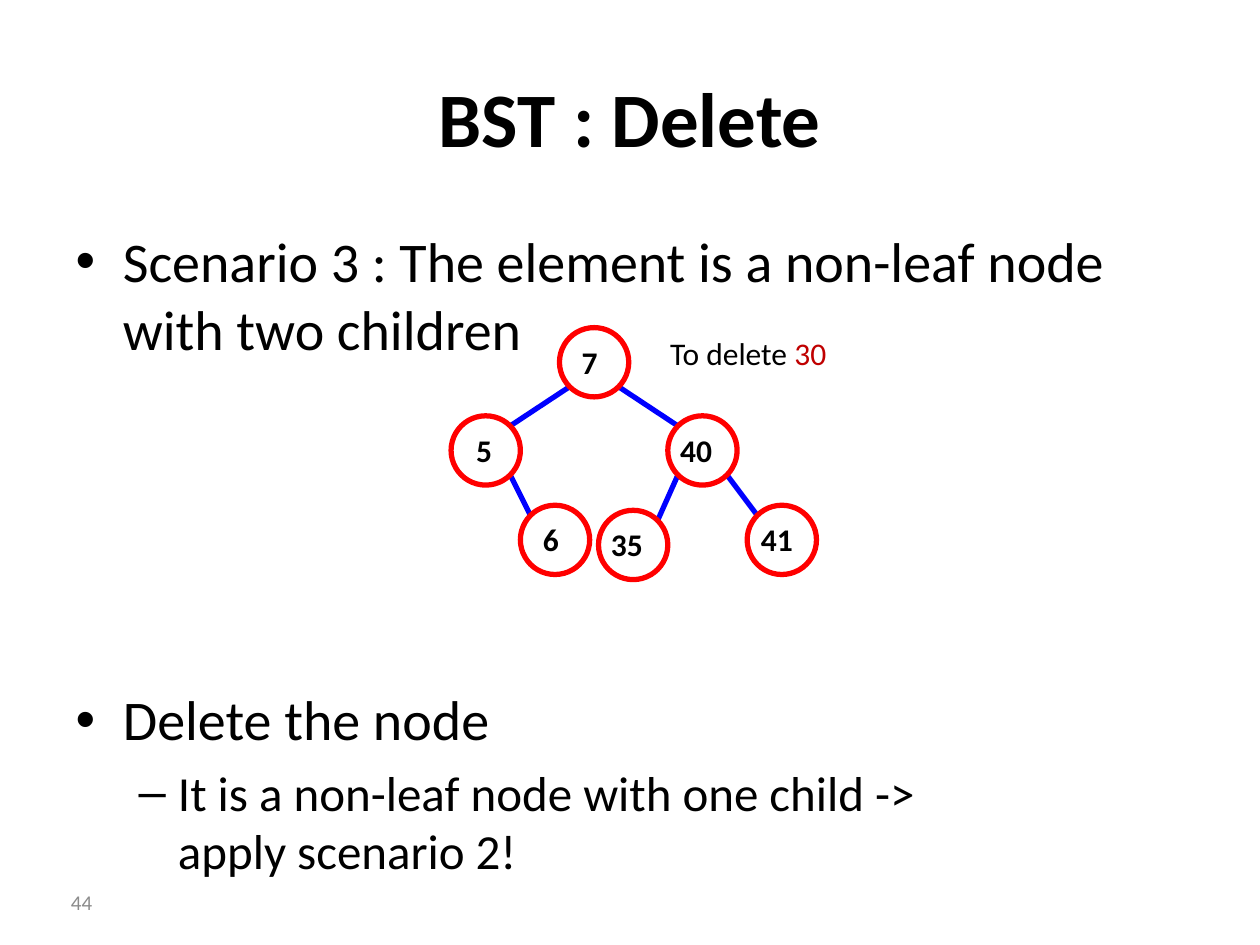
"""Build the slide on deleting a binary search tree node with two children."""
from dataclasses import dataclass

from lxml import etree
from pptx import Presentation
from pptx.dml.color import RGBColor
from pptx.enum.shapes import MSO_CONNECTOR, MSO_SHAPE
from pptx.enum.text import MSO_ANCHOR, PP_ALIGN
from pptx.oxml.ns import qn
from pptx.util import Inches, Pt

ELLIPSE = MSO_SHAPE.OVAL
STRAIGHT = MSO_CONNECTOR.STRAIGHT
LEFT, CENTER, RIGHT = PP_ALIGN.LEFT, PP_ALIGN.CENTER, PP_ALIGN.RIGHT
TOP, MIDDLE = MSO_ANCHOR.TOP, MSO_ANCHOR.MIDDLE


@dataclass(frozen=True)
class Theme:
    """Colours, type sizes and line weight of the slide."""
    font: str = "Calibri"
    ink: str = "000000"
    ring: str = "FF0000"
    edge: str = "0000FF"
    accent: str = "C00000"
    muted: str = "8C8C8C"
    title: int = 44
    body: int = 32
    detail: int = 28
    label: int = 18
    footer: int = 12
    stroke: int = 3


THEME = Theme()
COLUMNS, ROWS = 100, 75
CELL = Inches(0.1)
DIAMETER = 5.5
DIAGONAL = DIAMETER / 2 * 0.5 ** 0.5
TREE_GAP = 185

# key: (column, row, label shift, label width, label alignment)
NODES = {
    "7": (44.4, 26, -0.7, 6.2, CENTER),
    "5": (35.8, 33, 1, 5.5, LEFT),
    "40": (53, 33, 0, 6.2, LEFT),
    "6": (41.3, 40.1, 0.8, 5.5, LEFT),
    "35": (47.5, 40.5, 0, 6.2, LEFT),
    "41": (59.3, 40.1, 0.1, 6.3, LEFT),
}
# parent, child, side on which the edge leaves the parent
EDGES = [("7", "5", -1), ("7", "40", 1), ("5", "6", 1),
         ("40", "35", -1), ("40", "41", 1)]


def grid(*cells):
    """Turn grid cells into slide lengths."""
    return [round(cell * CELL) for cell in cells]


def add_run(paragraph, text, size, color=THEME.ink, bold=False):
    """Append one styled run."""
    run = paragraph.add_run()
    run.text = text
    font = run.font
    font.name, font.size, font.bold = THEME.font, Pt(size), bold
    font.color.rgb = RGBColor.from_string(color)


def fill_placeholder(placeholder, box):
    """Move a placeholder to its grid box and return its text frame."""
    (placeholder.left, placeholder.top,
     placeholder.width, placeholder.height) = grid(*box)
    return placeholder.text_frame


def add_label(shapes, box, runs, align=LEFT, anchor=TOP, wrap=True, inset=0.05):
    """Add a text box holding one paragraph of (text, size, color, bold) runs."""
    frame = shapes.add_textbox(*grid(*box)).text_frame
    frame.word_wrap, frame.vertical_anchor = wrap, anchor
    frame.margin_top = frame.margin_bottom = Inches(inset)
    paragraph = frame.paragraphs[0]
    paragraph.alignment = align
    for run in runs:
        add_run(paragraph, *run)


def add_node(slide, key):
    """Add a ringed tree node grouped with its key."""
    column, row, shift, width, align = NODES[key]
    group = slide.shapes.add_group_shape()
    ring = group.shapes.add_shape(ELLIPSE, *grid(column, row, DIAMETER, DIAMETER))
    ring.shadow.inherit = False
    ring.fill.background()
    ring.line.color.rgb = RGBColor.from_string(THEME.ring)
    ring.line.width = Pt(THEME.stroke)
    add_label(group.shapes, (column + shift, row - 0.3, width, 6.6),
              [(key, THEME.label, THEME.ink, True)], align, inset=0.15)


def rim(key, across, down):
    """Return the diagonal point on a node's ring."""
    column, row = NODES[key][:2]
    radius = DIAMETER / 2
    return grid(column + radius + across * DIAGONAL, row + radius + down * DIAGONAL)


def add_edge(slide, parent, child, side):
    """Join a parent's lower rim to a child's upper rim."""
    edge = slide.shapes.add_connector(
        STRAIGHT, *rim(parent, side, 1), *rim(child, -side, -1))
    edge.line.color.rgb = RGBColor.from_string(THEME.edge)
    edge.line.width = Pt(THEME.stroke)
    etree.SubElement(edge._element.spPr, qn("a:effectLst"))


def add_body(frame):
    """Write the scenario and the deletion step around the tree."""
    scenario = frame.paragraphs[0]
    scenario.space_before = Pt(0)
    add_run(scenario, "Scenario 3 : The element is a non-leaf node with two children",
            THEME.body)
    step = frame.add_paragraph()
    step.space_before = Pt(TREE_GAP)
    add_run(step, "Delete the node", THEME.body)
    detail = frame.add_paragraph()
    detail.level = 1
    add_run(detail, "It is a non-leaf node with one child -> ", THEME.detail)
    detail.add_line_break()
    add_run(detail, "apply scenario 2!", THEME.detail)


def main():
    """Compose and save the slide."""
    deck = Presentation()
    deck.slide_width, deck.slide_height = grid(COLUMNS, ROWS)
    slide = deck.slides.add_slide(deck.slide_layouts[1])
    title, body = slide.placeholders
    heading = fill_placeholder(title, (5, 3, 90, 12.5))
    heading.vertical_anchor = MIDDLE
    add_run(heading.paragraphs[0], "BST : Delete", THEME.title, bold=True)
    add_body(fill_placeholder(body, (5, 17.5, 90, 55.4)))
    for edge in EDGES:
        add_edge(slide, *edge)
    for key in NODES:
        add_node(slide, key)
    add_label(slide.shapes, (52.2, 26, 14.6, 4),
              [("To delete ", THEME.label), ("30", THEME.label, THEME.accent)],
              wrap=False)
    add_label(slide.shapes, (-15, 69.6, 23.3, 4),
              [("44", THEME.footer, THEME.muted)], RIGHT, MIDDLE)
    deck.save("out.pptx")


if __name__ == "__main__":
    main()
